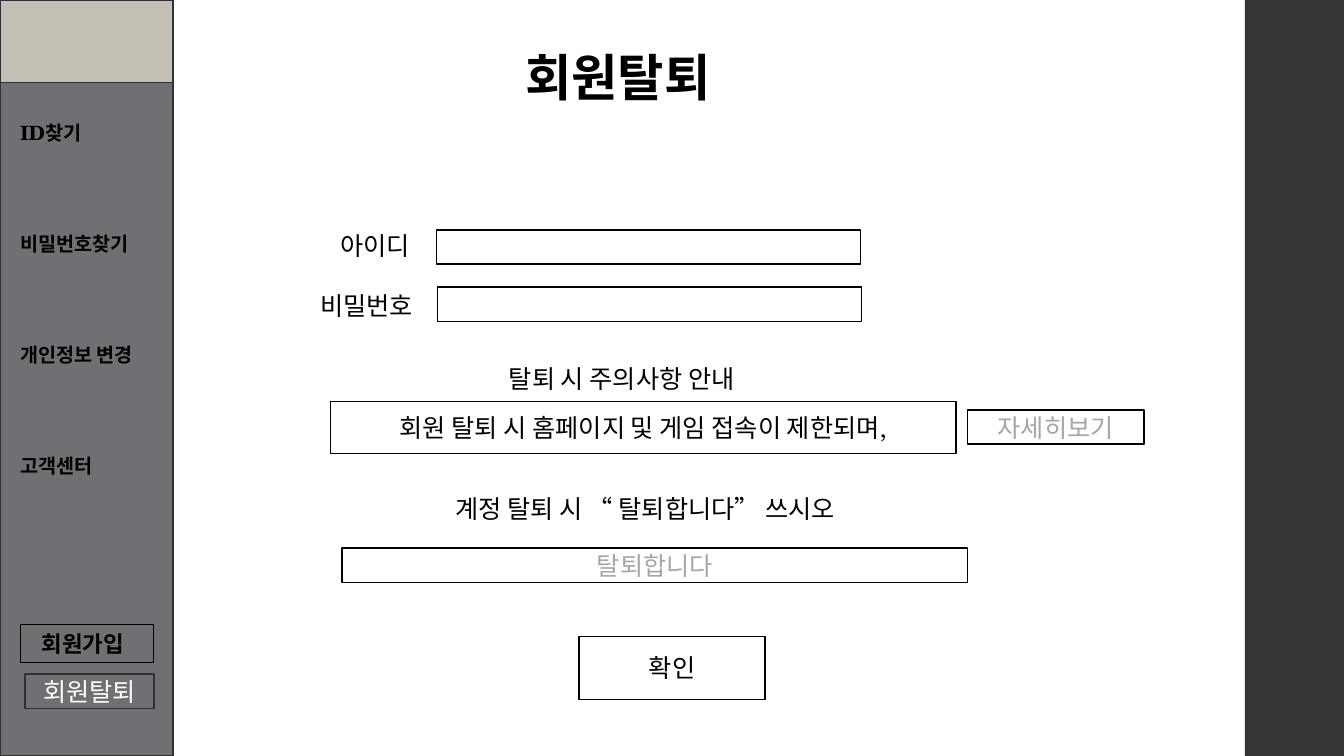
from pptx import Presentation
from pptx import util as u
from pptx.dml.color import RGBColor
from pptx.enum import shapes, text

Pt = u.Pt
BLACK, WHITE, GREY = "000000", "FFFFFF", "A6A6A6"
SIDEBAR, EDGE = "6F6F74", "313133"


def color(hex_string):
    return RGBColor.from_string(hex_string)


class Page:
    """Holds the text style and the slide being built."""

    font = "TeX Gyre Schola"
    size = 18

    def __init__(self, slide):
        self.slide = slide

    def set_text(self, shape, words, size, ink, bold, align):
        paragraph = shape.text_frame.paragraphs[0]
        paragraph.text = words
        paragraph.alignment = align
        for run in paragraph.runs:
            run.font.name = self.font
            run.font.size = Pt(size)
            run.font.bold = bold
            run.font.color.rgb = color(ink)

    def label(self, left, top, width, height, words, size=size, bold=False,
              align=text.PP_ALIGN.LEFT):
        shape = self.slide.shapes.add_textbox(Pt(left), Pt(top), Pt(width), Pt(height))
        shape.text_frame.word_wrap = True
        self.set_text(shape, words, size, BLACK, bold, align)

    def box(self, left, top, width, height, words="", fill=WHITE, line=BLACK,
            weight=1.1, ink=BLACK, size=size, bold=False,
            align=text.PP_ALIGN.CENTER):
        shape = self.slide.shapes.add_shape(
            shapes.MSO_SHAPE.RECTANGLE, Pt(left), Pt(top), Pt(width), Pt(height))
        shape.shadow.inherit = False
        shape.fill.solid()
        shape.fill.fore_color.rgb = color(fill)
        if line:
            shape.line.color.rgb = color(line)
            shape.line.width = Pt(weight)
        else:
            shape.line.fill.background()
        if words:
            shape.text_frame.word_wrap = True
            shape.text_frame.vertical_anchor = text.MSO_ANCHOR.MIDDLE
            self.set_text(shape, words, size, ink, bold, align)
        return shape


def build_sidebar(page):
    page.box(0, 0, 123.8, 540, fill="C3BFB5", line=EDGE)
    page.box(0, 59, 123.8, 481, fill=SIDEBAR, line=EDGE)
    for row, words in enumerate(["ID찾기", "비밀번호찾기", "개인정보 변경", "고객센터"]):
        page.label(7.2, 82.8 + 79.4 * row, 102.2, 24.2, words, size=14, bold=True)
    page.box(17.8, 481.6, 92.2, 24.5, "회원탈퇴", fill=SIDEBAR, line=EDGE, ink=WHITE)
    join = page.box(14.4, 446.2, 95.4, 26.8, "회원가입", fill=SIDEBAR, weight=0.75,
                    size=16, bold=True, align=text.PP_ALIGN.LEFT)
    join.text_frame.margin_left = Pt(15.6)


def build_form(page):
    page.label(278.6, 29.5, 325.4, 51, "회원탈퇴", size=36, bold=True,
               align=text.PP_ALIGN.CENTER)
    page.box(311.8, 164.2, 303, 24.5)
    page.box(312.5, 205.2, 303, 24.5)
    page.label(236, 161.3, 98.6, 29, "아이디")
    page.label(221.8, 203.8, 113, 29, "비밀번호")
    page.label(356.4, 255.6, 213, 29, "탈퇴 시 주의사항 안내")
    page.box(236, 286.8, 446.8, 37, "회원 탈퇴 시 홈페이지 및 게임 접속이 제한되며,")
    page.box(691, 292.8, 126, 24.5, "자세히보기", ink=GREY)
    page.label(318, 348.8, 322.6, 29, "계정 탈퇴 시 “ 탈퇴합니다” 쓰시오")
    page.box(244.4, 391.6, 446.8, 24.5, "탈퇴합니다", ink=GREY)
    page.box(413.6, 454.6, 132.8, 45, "확인")


def main():
    presentation = Presentation()
    presentation.slide_width, presentation.slide_height = Pt(960), Pt(540)
    page = Page(presentation.slides.add_slide(presentation.slide_layouts[6]))
    page.box(889.2, 0, 70.8, 540, fill="353537", line=None)
    build_sidebar(page)
    build_form(page)
    presentation.save("out.pptx")


if __name__ == "__main__":
    main()
